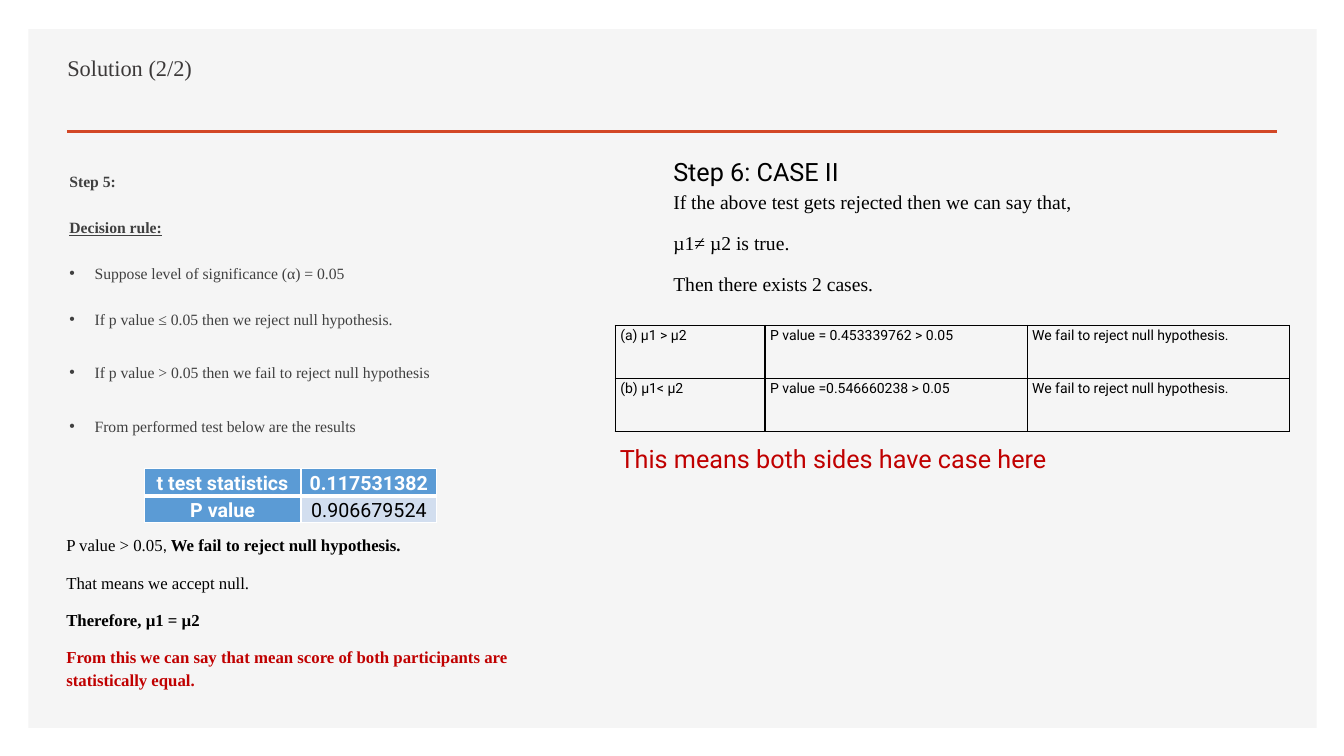
from dataclasses import dataclass, field
from typing import Optional, Union

import lxml.etree
import pptx
import pptx.dml.color
import pptx.enum.shapes
import pptx.enum.text
import pptx.oxml.ns
import pptx.util

Pt = pptx.util.Pt
qn = pptx.oxml.ns.qn
ALIGN = pptx.enum.text.PP_ALIGN
ANCHOR = pptx.enum.text.MSO_ANCHOR


@dataclass(frozen=True)
class Theme:
    """Fonts, colours and type sizes of the slide."""
    serif: str = "Times New Roman"
    sans: str = "Roboto"
    plain: str = "Calibri"
    panel: str = "F5F5F5"
    accent: str = "D24726"
    title: str = "3B3838"
    grey: str = "404040"
    black: str = "000000"
    white: str = "FFFFFF"
    red: str = "C00000"
    blue: str = "5B9BD5"
    pale: str = "D2DEEF"
    title_size: float = 16
    rule_size: float = 11.2
    body_size: float = 12
    case_size: float = 14
    head_size: float = 18
    cell_size: float = 10


T = Theme()


@dataclass
class Run:
    """A piece of text in one style."""
    text: str
    size: float
    font: str = T.serif
    color: str = T.black
    bold: bool = False
    under: bool = False


@dataclass
class Para:
    """A paragraph: its runs and its spacing."""
    runs: list[Run]
    lead: Optional[Union[float, pptx.util.Length]] = 1.15
    before: float = 0
    after: float = 10
    dot: bool = False
    align: ALIGN = ALIGN.LEFT


@dataclass
class Cell:
    """A table cell with an optional fill."""
    para: Para
    fill: Optional[str] = None


@dataclass
class Grid:
    """A table with its place, sizes and border."""
    left: float
    top: float
    widths: list[float]
    height: float
    rows: list[list[Cell]]
    inset: float
    anchor: ANCHOR
    edge: str
    inner: float = 1
    sides: list[str] = field(default_factory=lambda: ["L", "R", "T", "B"])


def rgb(code: str) -> pptx.dml.color.RGBColor:
    """Turn a hex code into a colour."""
    return pptx.dml.color.RGBColor.from_string(code)


def write(frame, paras: list[Para]) -> None:
    """Write paragraphs into a text frame, run by run."""
    frame.word_wrap = True
    for i, item in enumerate(paras):
        para = frame.paragraphs[0] if i == 0 else frame.add_paragraph()
        para.alignment = item.align
        para.line_spacing = item.lead
        para.space_before, para.space_after = Pt(item.before), Pt(item.after)
        if item.dot:
            props = para._p.get_or_add_pPr()
            props.set("marL", str(Pt(18)))
            props.set("indent", str(-Pt(18)))
            lxml.etree.SubElement(props, qn("a:buFont")).set("typeface", "Arial")
            lxml.etree.SubElement(props, qn("a:buChar")).set("char", "•")
        for part in item.runs:
            run = para.add_run()
            run.text = part.text
            font = run.font
            font.name, font.size = part.font, Pt(part.size)
            font.bold, font.underline = part.bold, part.under
            font.color.rgb = rgb(part.color)


def add_text(slide, left: float, top: float, width: float, height: float,
             paras: list[Para]) -> None:
    """Add a wrapped text box."""
    box = slide.shapes.add_textbox(Pt(left), Pt(top), Pt(width), Pt(height))
    write(box.text_frame, paras)


def add_edge(cell, side: str, color: str, width: float, place: int) -> None:
    """Draw one border of a cell."""
    props = cell._tc.get_or_add_tcPr()
    line = lxml.etree.Element(qn("a:ln" + side), w=str(Pt(width)))
    fill = lxml.etree.SubElement(line, qn("a:solidFill"))
    lxml.etree.SubElement(fill, qn("a:srgbClr")).set("val", color)
    props.insert(place, line)


def add_grid(slide, grid: Grid) -> None:
    """Add a table with its fills, borders and text."""
    count = len(grid.rows)
    table = slide.shapes.add_table(
        count, len(grid.widths), Pt(grid.left), Pt(grid.top),
        Pt(sum(grid.widths)), Pt(grid.height * count)).table
    table.first_row = table.horz_banding = False
    for col, width in zip(table.columns, grid.widths):
        col.width = Pt(width)
    for y, items in enumerate(grid.rows):
        table.rows[y].height = Pt(grid.height)
        for x, item in enumerate(items):
            cell = table.cell(y, x)
            cell.margin_left = cell.margin_right = Pt(grid.inset)
            cell.margin_top = cell.margin_bottom = 0
            cell.vertical_anchor = grid.anchor
            if item.fill:
                cell.fill.solid()
                cell.fill.fore_color.rgb = rgb(item.fill)
            else:
                cell.fill.background()
            shared = {"B"} if y == 0 else {"T"}
            for place, side in enumerate(grid.sides):
                width = grid.inner if side in shared else 1
                add_edge(cell, side, grid.edge, width, place)
            write(cell.text_frame, [item.para])


def add_frame(slide) -> None:
    """Add the grey panel and the line below the title."""
    panel = slide.shapes.add_shape(
        pptx.enum.shapes.MSO_SHAPE.RECTANGLE, Pt(20.2), Pt(20.9), Pt(920.2), Pt(499))
    panel.shadow.inherit = False
    panel.fill.solid()
    panel.fill.fore_color.rgb = rgb(T.panel)
    panel.line.fill.background()
    line = slide.shapes.add_connector(
        pptx.enum.shapes.MSO_CONNECTOR.STRAIGHT, Pt(47.8), Pt(94), Pt(912), Pt(94))
    line.line.color.rgb = rgb(T.accent)
    line.line.width = Pt(2)
    lxml.etree.SubElement(line._element.spPr, qn("a:effectLst"))


def rule(text: str, lead: Union[float, pptx.util.Length] = 0.95,
         bold: bool = False, under: bool = False) -> Para:
    """Make a line of the decision rule; plain lines get a bullet."""
    run = Run(text, T.rule_size, color=T.grey, bold=bold, under=under)
    return Para([run], lead, 10, 10, dot=not bold)


def result(text: str, fill: str = T.blue, color: str = T.white) -> Cell:
    """Make a centred cell of the test results."""
    run = Run(text, T.case_size, T.sans, color, bold=fill == T.blue)
    return Cell(Para([run], align=ALIGN.CENTER), fill)


def single(text: str, size: float, font: str, color: str) -> Para:
    """Make a one-run paragraph without extra spacing."""
    return Para([Run(text, size, font, color)], None, 0, 0)


deck = pptx.Presentation()
deck.slide_width, deck.slide_height = Pt(960), Pt(540)
slide = deck.slides.add_slide(deck.slide_layouts[6])
add_frame(slide)
add_text(slide, 41, 35.3, 541.4, 50.4,
         [single("Solution (2/2)", T.title_size, T.serif, T.title)])
add_text(slide, 42.5, 120.2, 378, 193, [
    rule("Step 5:", bold=True),
    rule("Decision rule:", bold=True, under=True),
    rule("Suppose level of significance (α) = 0.05"),
    rule("If p value ≤ 0.05 then we reject null hypothesis."),
    rule("If p value > 0.05 then we fail to reject null hypothesis", Pt(18)),
    rule("From performed test below are the results", Pt(18))])
add_grid(slide, Grid(103, 334.8, [112, 97], 19.2, [
    [result("t test statistics"), result("0.117531382")],
    [result("P value"), result("0.906679524", T.pale, T.black)],
], 5, ANCHOR.BOTTOM, T.white, inner=3))
add_text(slide, 40.3, 376.6, 379.4, 153.4, [
    Para([Run("P value > 0.05", T.body_size),
          Run(", ", T.body_size, T.plain),
          Run("We fail to reject null hypothesis.", T.body_size, bold=True)]),
    Para([Run("That means we accept null.", T.body_size)]),
    Para([Run("Therefore, µ1 = µ2", T.body_size, bold=True)]),
    Para([Run("From this we can say that mean score of both participants are "
              "statistically equal.", T.body_size, color=T.red, bold=True)])])
add_text(slide, 473.8, 108, 458, 139.7, [
    single("Step 6: CASE II", T.head_size, T.sans, T.black),
    *(Para([Run(text, T.case_size)]) for text in (
        "If the above test gets rejected then we can say that,",
        "µ1≠ µ2 is true.", "Then there exists 2 cases."))])
cases = [("(a) µ1 > µ2", "P value = 0.453339762 > 0.05"),
         ("(b) µ1< µ2", "P value =0.546660238 > 0.05")]
add_grid(slide, Grid(439.5, 232.5, [107, 187.2, 187.2], 37.8, [
    [Cell(Para([Run(text, T.cell_size, T.sans)]))
     for text in (*case, "We fail to reject null hypothesis.")]
    for case in cases], 3.6, ANCHOR.TOP, T.black))
add_text(slide, 435.6, 313.2, 452.2, 28.8, [
    single("This means both sides have case here", T.head_size, T.sans, T.red)])
deck.save("out.pptx")
